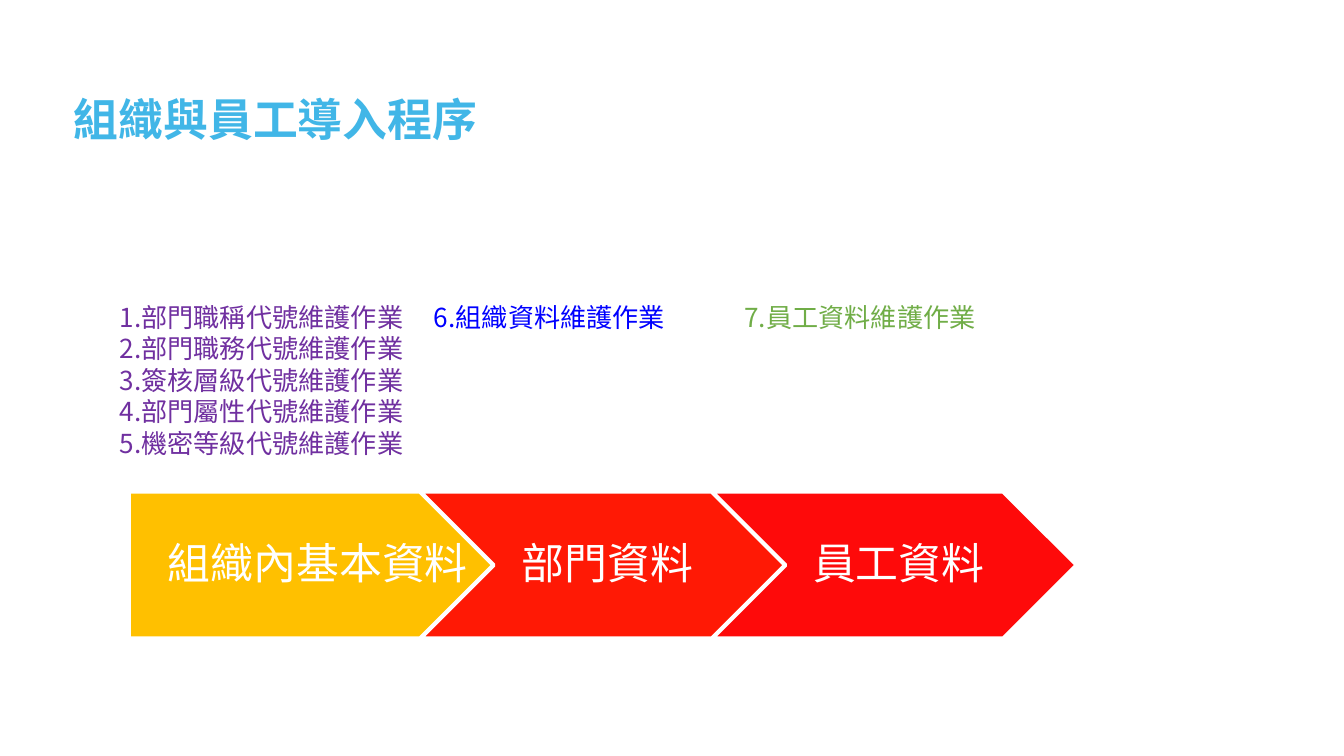
import dataclasses

import pptx
import pptx.dml.color
import pptx.enum.shapes
import pptx.enum.text
import pptx.oxml.ns
import pptx.util
from lxml import etree

Inches = pptx.util.Inches
Pt = pptx.util.Pt
Anchor = pptx.enum.text.MSO_ANCHOR
Align = pptx.enum.text.PP_ALIGN
Shape = pptx.enum.shapes.MSO_SHAPE


@dataclasses.dataclass(frozen=True)
class Theme:
    title_font: str = "Arial"
    text_font: str = "Noto Sans CJK SC"
    title_size: int = 24
    list_size: int = 14
    list_pitch: float = 16.9
    stage_size: int = 23
    white: str = "FFFFFF"
    title: str = "41B6E7"
    basics: str = "7030A0"
    department: str = "0000FF"
    employee: str = "70AD47"
    stages: tuple = ("FFC000", "FF1905", "FE0A0A")


class SlideBuilder:
    def __init__(self, deck, theme):
        self.theme = theme
        self.page = deck.slides.add_slide(deck.slide_layouts[1])

    def color(self, value):
        return pptx.dml.color.RGBColor.from_string(value)

    def place(self, box, bounds):
        box.left, box.top, box.width, box.height = map(Inches, bounds)

    def frame(self, box, insets, anchor):
        frame = box.text_frame
        frame.word_wrap = True
        frame.auto_size = pptx.enum.text.MSO_AUTO_SIZE.NONE
        frame.vertical_anchor = anchor
        (frame.margin_left, frame.margin_top,
         frame.margin_right, frame.margin_bottom) = map(Inches, insets)
        return frame

    def format(self, para, font, size, color, bold=False):
        for span in para.runs:
            span.font.name = font
            span.font.size = Pt(size)
            span.font.bold = bold
            span.font.color.rgb = self.color(color)
            if font == self.theme.text_font:
                properties = span.font._element
                east = etree.SubElement(properties, pptx.oxml.ns.qn("a:ea"))
                east.set("typeface", font)

    def title(self, text, bounds):
        box = self.page.shapes.title
        self.place(box, bounds)
        frame = self.frame(box, (0.11, 0.04, 0.08, 0.04), Anchor.MIDDLE)
        frame.text = text
        para = frame.paragraphs[0]
        para.alignment = Align.LEFT
        self.format(para, self.theme.title_font, self.theme.title_size,
                    self.theme.title, True)

    def fill_list(self, box, lines, color):
        frame = self.frame(box, (0.1, 0.05, 0.1, 0.05), Anchor.TOP)
        frame.text = "\n".join(lines)
        for para in frame.paragraphs:
            properties = para._p.get_or_add_pPr()
            properties.set("marL", "0")
            properties.set("indent", "0")
            etree.SubElement(properties, pptx.oxml.ns.qn("a:buNone"))
            para.space_before = Pt(0)
            para.line_spacing = Pt(self.theme.list_pitch)
            self.format(para, self.theme.text_font, self.theme.list_size, color)

    def body(self, lines, bounds, color):
        box = self.page.placeholders[1]
        self.place(box, bounds)
        self.fill_list(box, lines, color)

    def note(self, line, bounds, color):
        box = self.page.shapes.add_textbox(*map(Inches, bounds))
        self.fill_list(box, [line], color)

    def stage(self, group, kind, text, bounds, color, left_inset):
        area = [Inches(length) for length in bounds]
        arrow = group.shapes.add_shape(kind, *area)
        arrow.shadow.inherit = False
        arrow.adjustments[0] = 0.5
        arrow.fill.solid()
        arrow.fill.fore_color.rgb = self.color(color)
        arrow.line.color.rgb = self.color(self.theme.white)
        arrow.line.width = Pt(2)
        label = group.shapes.add_textbox(*area)
        frame = self.frame(label, (left_inset, 0.07, 0.03, 0.07), Anchor.MIDDLE)
        frame.text = text
        para = frame.paragraphs[0]
        para.alignment = Align.CENTER
        para.line_spacing = 0.9
        self.format(para, self.theme.text_font, self.theme.stage_size,
                    self.theme.white)

    def process(self, names, left, top, width, height, step):
        group = self.page.shapes.add_group_shape()
        for index, (name, color) in enumerate(zip(names, self.theme.stages)):
            kind = Shape.CHEVRON if index else Shape.PENTAGON
            bounds = (left + index * step, top, width, height)
            self.stage(group, kind, name, bounds, color, 0.1 if index else 0.13)


def main():
    deck = pptx.Presentation()
    deck.slide_width = Inches(10)
    deck.slide_height = deck.slide_width * 9 // 16
    theme = Theme()
    builder = SlideBuilder(deck, theme)
    builder.title("組織與員工導入程序", (0.44, 0.59, 9.15, 0.59))
    builder.body(
        [
            "1.部門職稱代號維護作業",
            "2.部門職務代號維護作業",
            "3.簽核層級代號維護作業",
            "4.部門屬性代號維護作業",
            "5.機密等級代號維護作業",
        ],
        (0.79, 2.19, 3.05, 1.34),
        theme.basics,
    )
    builder.process(["組織內基本資料", "部門資料", "員工資料"],
                    left=0.96, top=3.66, width=2.71, height=1.09, step=2.17)
    builder.note("6.組織資料維護作業", (3.13, 2.19, 2.57, 1.34), theme.department)
    builder.note("7.員工資料維護作業", (5.44, 2.19, 2.57, 1.34), theme.employee)
    deck.save("out.pptx")


if __name__ == "__main__":
    main()
